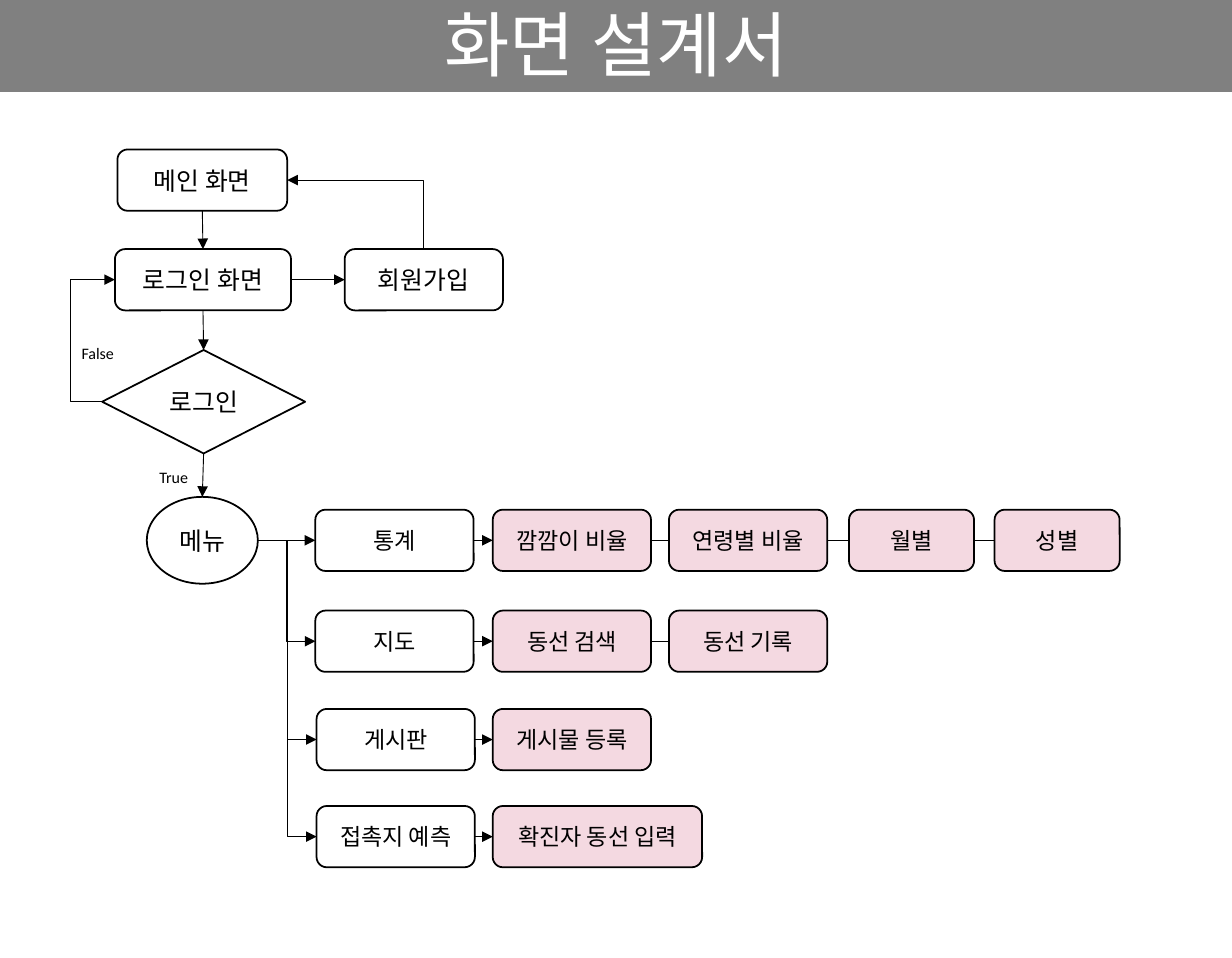
"""Build the screen design flowchart slide."""
from dataclasses import dataclass

from lxml import etree
from pptx import Presentation
from pptx import util as u
from pptx.dml.color import RGBColor
from pptx.enum import shapes, text
from pptx.oxml.ns import qn

TOP, LEFT, BOTTOM, RIGHT = range(4)
OVAL_RIGHT = 6
PROCESS = shapes.MSO_SHAPE.FLOWCHART_ALTERNATE_PROCESS
DECISION = shapes.MSO_SHAPE.FLOWCHART_DECISION
OVAL = shapes.MSO_SHAPE.OVAL
STRAIGHT = shapes.MSO_CONNECTOR.STRAIGHT
ELBOW = shapes.MSO_CONNECTOR.ELBOW


@dataclass(frozen=True)
class Theme:
    """Colours, type sizes and line widths of the slide."""
    font: str = "Calibri"
    ink: RGBColor = RGBColor(0, 0, 0)
    paper: RGBColor = RGBColor(255, 255, 255)
    banner: RGBColor = RGBColor(0x80, 0x80, 0x80)
    feature: RGBColor = RGBColor(0xF4, 0xD9, 0xE1)
    title_size: float = 40.1
    step_size: float = 14
    menu_size: float = 13
    label_size: float = 9
    outline: float = 1
    arrow: float = 0.5


def apply(target, values):
    """Set each attribute named in a dict of format values."""
    for name, value in values.items():
        setattr(target, name, value)


class Flowchart:
    """Draws flowchart elements on one slide in one theme."""

    def __init__(self, page, theme):
        """Keep the slide and its theme."""
        self.page, self.theme = page, theme

    def caption(self, shape, words, size, color, frame_values, para_values):
        """Put one formatted line of text in a shape."""
        frame = shape.text_frame
        apply(frame, {"word_wrap": True, **frame_values})
        para = frame.paragraphs[0]
        apply(para, para_values)
        span = para.add_run()
        span.text = words
        apply(span.font, {"name": self.theme.font, "size": u.Pt(size)})
        span.font.color.rgb = color

    def solid(self, kind, place, fill):
        """Add a filled preset shape without shadow."""
        shape = self.page.shapes.add_shape(kind, *map(u.Inches, place))
        shape.shadow.inherit = False
        shape.fill.solid()
        shape.fill.fore_color.rgb = fill
        return shape

    def banner(self, words, place):
        """Add the title bar."""
        bar = self.solid(shapes.MSO_SHAPE.RECTANGLE, place, self.theme.banner)
        bar.line.fill.background()
        side, edge = u.Inches(0.07), u.Inches(0.04)
        self.caption(bar, words, self.theme.title_size, self.theme.paper,
                     {"vertical_anchor": text.MSO_ANCHOR.BOTTOM,
                      "margin_left": side, "margin_right": side,
                      "margin_top": edge, "margin_bottom": edge},
                     {"alignment": text.PP_ALIGN.CENTER, "line_spacing": 0.9})

    def box(self, words, place, size, kind=PROCESS, fill=None):
        """Add an outlined flowchart node."""
        node = self.solid(kind, place, fill or self.theme.paper)
        node.line.color.rgb = self.theme.ink
        node.line.width = u.Pt(self.theme.outline)
        self.caption(node, words, size, self.theme.ink,
                     {"vertical_anchor": text.MSO_ANCHOR.MIDDLE},
                     {"alignment": text.PP_ALIGN.CENTER})
        return node

    def label(self, words, place):
        """Add a small branch label."""
        note = self.page.shapes.add_textbox(*map(u.Inches, place))
        self.caption(note, words, self.theme.label_size, self.theme.ink, {}, {})

    def link(self, start, start_side, end, end_side, kind=STRAIGHT, arrow="tailEnd"):
        """Join two nodes with a connector, with an arrowhead if named."""
        line = self.page.shapes.add_connector(kind, 0, 0, 0, 0)
        line.begin_connect(start, RIGHT if start_side == OVAL_RIGHT else start_side)
        line.end_connect(end, end_side)
        if start_side == OVAL_RIGHT:
            line._element.find(".//" + qn("a:stCxn")).set("idx", str(OVAL_RIGHT))
        line.line.color.rgb = self.theme.ink
        line.line.width = u.Pt(self.theme.arrow)
        properties = line._element.spPr
        if arrow:
            etree.SubElement(properties.find(qn("a:ln")), qn("a:" + arrow), type="triangle")
        etree.SubElement(properties, qn("a:effectLst"))
        return line

    def corner(self, start, start_side, end, end_side):
        """Join two nodes with one bend, the arrowhead at the start."""
        line = self.link(start, start_side, end, end_side, ELBOW, "headEnd")
        line._element.spPr.find(qn("a:prstGeom")).set("prst", "bentConnector2")

    def detour(self, start, end, bend):
        """Join the left sides of two nodes through a given x position."""
        line = self.link(start, LEFT, end, LEFT, ELBOW)
        share = (u.Inches(bend) - line.begin_x) / (line.end_x - line.begin_x)
        geometry = line._element.spPr.find(qn("a:prstGeom"))
        guides = geometry.find(qn("a:avLst"))
        if guides is None:
            guides = etree.SubElement(geometry, qn("a:avLst"))
        etree.SubElement(guides, qn("a:gd"), name="adj1", fmla=f"val {round(share * 100000)}")


MENU_ROWS = [
    (2.47, 3.99, "통계", [("깜깜이 비율", 3.86, 1.24), ("연령별 비율", 5.24, 1.24),
                        ("월별", 6.65, 0.98), ("성별", 7.79, 0.98)]),
    (2.47, 4.78, "지도", [("동선 검색", 3.86, 1.24), ("동선 기록", 5.24, 1.24)]),
    (2.48, 5.55, "게시판", [("게시물 등록", 3.86, 1.24)]),
    (2.48, 6.31, "접촉지 예측", [("확진자 동선 입력", 3.86, 1.64)]),
]
BOX_WIDTH, BOX_HEIGHT = 1.24, 0.48


def main():
    """Build and save the deck."""
    deck = Presentation()
    apply(deck, {"slide_width": u.Inches(9.65), "slide_height": u.Inches(7.5)})
    theme = Theme()
    chart = Flowchart(deck.slides.add_slide(deck.slide_layouts[6]), theme)
    chart.banner("화면 설계서", (0, 0, 9.65, 0.72))

    step = theme.step_size
    home = chart.box("메인 화면", (0.92, 1.17, 1.33, BOX_HEIGHT), step)
    login = chart.box("로그인 화면", (0.9, 1.95, 1.38, BOX_HEIGHT), step)
    signup = chart.box("회원가입", (2.7, 1.95, BOX_WIDTH, BOX_HEIGHT), step)
    check = chart.box("로그인", (0.8, 2.74, 1.59, 0.81), step, DECISION)
    menu = chart.box("메뉴", (1.15, 3.89, 0.87, 0.68), step, OVAL)

    for upper, lower in ((home, login), (login, check), (check, menu)):
        chart.link(upper, BOTTOM, lower, TOP)
    chart.link(login, RIGHT, signup, LEFT)
    chart.corner(home, RIGHT, signup, TOP)
    chart.detour(check, login, 0.55)
    chart.label("False", (0.54, 2.64, 0.52, 0.25))
    chart.label("True", (1.15, 3.61, 0.52, 0.25))

    for row, (left, top, words, features) in enumerate(MENU_ROWS):
        previous = chart.box(words, (left, top, BOX_WIDTH, BOX_HEIGHT), theme.menu_size)
        chart.link(menu, OVAL_RIGHT, previous, LEFT, ELBOW if row else STRAIGHT)
        arrow = "tailEnd"
        for name, start, width in features:
            feature = chart.box(name, (start, top, width, BOX_HEIGHT),
                                theme.menu_size, fill=theme.feature)
            chart.link(previous, RIGHT, feature, LEFT, arrow=arrow)
            previous, arrow = feature, None

    deck.save("out.pptx")


if __name__ == "__main__":
    main()
